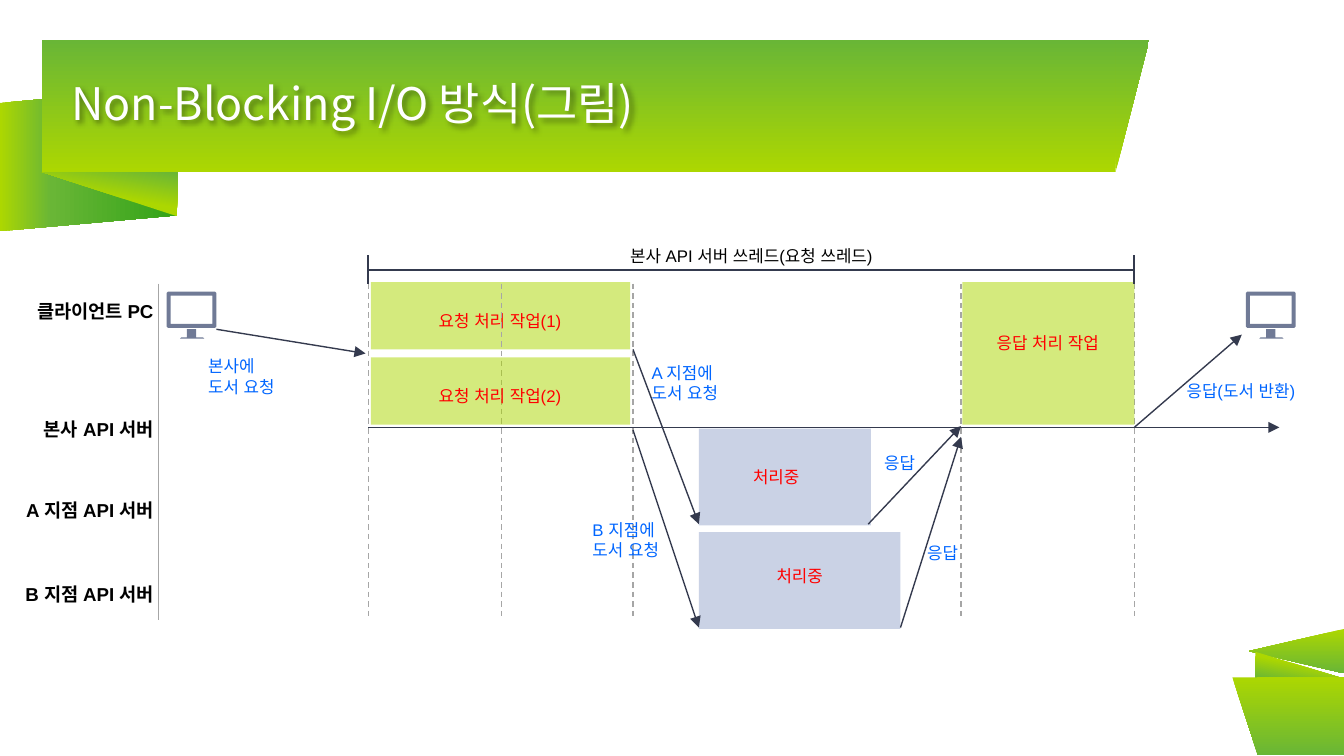
from dataclasses import dataclass
from typing import Optional

from lxml import etree
from pptx import Presentation, util as u
from pptx.dml.color import RGBColor
from pptx.enum import dml, shapes, text
from pptx.oxml.ns import qn


@dataclass(frozen=True)
class Theme:
    lime: str = "ACD701"
    green: str = "69B636"
    deep_green: str = "32A318"
    slate: str = "6077B3"
    icon: str = "707A96"
    ink: str = "343A4E"
    guide: str = "A6A6A6"
    black: str = "000000"
    white: str = "FFFFFF"
    red: str = "FF0000"
    blue: str = "0066FF"
    body_font: str = "Arial"
    title_font: str = "Noto Sans CJK KR"
    title_size: float = 24
    lane_size: float = 10
    note_size: float = 9


@dataclass(frozen=True)
class Ribbon:
    kind: shapes.MSO_SHAPE
    box: tuple[float, float, float, float]
    stops: tuple[tuple[int, str], ...]
    angle: int
    rotation: int = 0
    flip: bool = False
    adj: Optional[float] = None


@dataclass(frozen=True)
class Label:
    words: str
    box: tuple[float, float, float, float]
    color: str
    size: float = Theme.note_size
    align: text.PP_ALIGN = text.PP_ALIGN.LEFT
    bold: bool = False
    wrap: bool = False


@dataclass(frozen=True)
class Task:
    box: tuple[float, float, float, float]
    color: str
    alpha: int
    label: Label


T = Theme()
S = shapes.MSO_SHAPE
A = text.PP_ALIGN

# A 16:9 page, 10 inches wide
prs = Presentation()
prs.slide_width = u.Inches(10)
prs.slide_height = prs.slide_width * 9 // 16
slide = prs.slides.add_slide(prs.slide_layouts[5])


def inches(values) -> list[int]:
    return [u.Inches(v) for v in values]


def add_ribbon(ribbon: Ribbon) -> None:
    part = slide.shapes.add_shape(ribbon.kind, *inches(ribbon.box))
    part.shadow.inherit = False
    part.line.fill.background()
    part.rotation = ribbon.rotation
    if ribbon.adj is not None:
        part.adjustments[0] = ribbon.adj
    props = part.element.spPr
    if ribbon.flip:
        props.find(qn("a:xfrm")).set("flipH", "1")
    gradient = etree.Element(qn("a:gradFill"), rotWithShape="1")
    stop_list = etree.SubElement(gradient, qn("a:gsLst"))
    for position, color in ribbon.stops:
        stop = etree.SubElement(stop_list, qn("a:gs"), pos=str(position * 1000))
        etree.SubElement(stop, qn("a:srgbClr"), val=color)
    etree.SubElement(gradient, qn("a:lin"), ang=str(ribbon.angle * 60000), scaled="0")
    props.find(qn("a:prstGeom")).addnext(gradient)


def add_run(paragraph, words: str, font: str, size: float, color: str,
            bold: bool = False) -> None:
    run = paragraph.add_run()
    run.text = words
    run.font.size, run.font.bold, run.font.name = u.Pt(size), bold, font
    run.font.color.rgb = RGBColor.from_string(color)
    latin = run._r.rPr.find(qn("a:latin"))
    latin.addnext(etree.Element(qn("a:ea"), typeface=font))


def add_label(label: Label) -> None:
    frame = slide.shapes.add_textbox(*inches(label.box)).text_frame
    frame.word_wrap = label.wrap
    frame.auto_size = text.MSO_AUTO_SIZE.SHAPE_TO_FIT_TEXT
    for index, words in enumerate(label.words.split("\n")):
        paragraph = frame.add_paragraph() if index else frame.paragraphs[0]
        paragraph.alignment = label.align
        add_run(paragraph, words, T.body_font, label.size, label.color, label.bold)


def add_task(task: Task) -> None:
    block = slide.shapes.add_shape(S.RECTANGLE, *inches(task.box))
    block.shadow.inherit = False
    block.line.fill.background()
    block.fill.solid()
    block.fill.fore_color.rgb = RGBColor.from_string(task.color)
    color = block.element.spPr.find(qn("a:solidFill"))[0]
    etree.SubElement(color, qn("a:alpha"), val=str(task.alpha * 1000))
    add_label(task.label)


def add_line(start: tuple, end: tuple, color: str, width: float = 0.75,
             dashed: bool = False, arrow: bool = False) -> None:
    line = slide.shapes.add_connector(shapes.MSO_CONNECTOR.STRAIGHT, *inches(start + end))
    line.line.color.rgb = RGBColor.from_string(color)
    line.line.width = u.Pt(width)
    if dashed:
        line.line.dash_style = dml.MSO_LINE.DASH
    props = line.element.spPr
    if arrow:
        etree.SubElement(props.find(qn("a:ln")), qn("a:tailEnd"), type="triangle")
    etree.SubElement(props, qn("a:effectLst"))


def add_outline(left: float, top: float, contours: list) -> None:
    builder = None
    for contour in contours:
        points = [(u.Inches(left + x), u.Inches(top + y)) for x, y in contour]
        if builder is None:
            builder = slide.shapes.build_freeform(*points[0])
        else:
            builder.move_to(*points[0])
        builder.add_line_segments(points[1:], close=True)
    outline = builder.convert_to_shape()
    outline.shadow.inherit = False
    outline.line.fill.background()
    outline.fill.solid()
    outline.fill.fore_color.rgb = RGBColor.from_string(T.icon)


def add_monitor(left: float, top: float) -> None:
    stand = [(0.15, 0.28), (0.15, 0.34), (0.11, 0.34), (0.1, 0.35),
             (0.28, 0.35), (0.27, 0.34), (0.22, 0.34), (0.22, 0.28)]
    screen = [(0.34, 0.03), (0.34, 0.24), (0.03, 0.24), (0.03, 0.03)]
    bezel = [(0.01, 0), (0, 0.01), (0, 0.26), (0.01, 0.27),
             (0.36, 0.27), (0.37, 0.26), (0.37, 0.01), (0.36, 0)]
    add_outline(left, top, [stand])
    add_outline(left, top, [screen, bezel])


# Ribbon banner and corner fold
fade = ((0, T.lime), (100, T.green))
fold = ((0, T.lime), (47, T.lime), (100, T.green))
tail = ((0, T.lime), (29, T.green), (100, T.deep_green))
for ribbon in (
    Ribbon(S.PARALLELOGRAM, (0.12, 0.53, 1.07, 1.31), tail, 90, 270, True, 0.109),
    Ribbon(S.RIGHT_TRIANGLE, (0.31, 1.28, 1.01, 0.33), fold, 100, 180),
    Ribbon(S.RECTANGLE, (0.31, 0.3, 7.99, 0.98), fade, 90, 180, True),
    Ribbon(S.ISOSCELES_TRIANGLE, (8.3, 0.3, 0.25, 0.98), fade, 90, 180, adj=1),
    Ribbon(S.ISOSCELES_TRIANGLE, (9.48, 4.49, 0.33, 0.71), fade, 180, 270, adj=0.5),
    Ribbon(S.RIGHT_TRIANGLE, (9.34, 4.85, 0.66, 0.2), fold, 100),
    Ribbon(S.RECTANGLE, (9.35, 5.04, 0.65, 0.58), fade, 270, 180),
    Ribbon(S.ISOSCELES_TRIANGLE, (9.17, 5.04, 0.19, 0.58), fade, 270, 180, True, 1),
):
    add_ribbon(ribbon)

# Title, raised above the banner, with a soft shadow
title = slide.shapes.title
slide.shapes.element.append(title.element)
title.left, title.top, title.width, title.height = inches((0.53, 0.3, 7.92, 0.98))
heading = title.text_frame
heading.margin_left = heading.margin_right = heading.margin_top = heading.margin_bottom = 0
heading.vertical_anchor = text.MSO_ANCHOR.MIDDLE
heading.auto_size = text.MSO_AUTO_SIZE.NONE
heading.word_wrap = True
heading.paragraphs[0].alignment = A.LEFT
heading.paragraphs[0].line_spacing = 0.9
add_run(heading.paragraphs[0], "Non-Blocking I/O 방식(그림)",
        T.title_font, T.title_size, T.white)
effects = etree.SubElement(title.element.spPr, qn("a:effectLst"))
shadow = etree.SubElement(effects, qn("a:outerShdw"), blurRad="38100", dist="19050", dir="2700000")
shade = etree.SubElement(shadow, qn("a:srgbClr"), val=T.black)
etree.SubElement(shade, qn("a:alpha"), val="40000")

# Lanes and the two client screens
top, bottom, axis = 2.11, 4.61, 3.18
begin, half, sent, answered, finish = 2.74, 3.73, 4.71, 7.15, 8.44
add_line((1.18, top), (1.18, bottom), T.guide)
for words, y, width in (("클라이언트 PC", 2.18, 1.14), ("본사 API 서버", 3.06, 1.06),
                        ("A 지점 API 서버", 3.66, 1.21), ("B 지점 API 서버", 4.29, 1.21)):
    add_label(Label(words, (1.24 - width, y, width, 0.27), T.black, T.lane_size, A.RIGHT, True))
for x in (1.24, 9.27):
    add_monitor(x, 2.17)


# Work blocks, with the time guides between the two requests
def red_label(words: str, *box: float) -> Label:
    return Label(words, box, T.red, align=A.CENTER, wrap=True)


request_1, request_2 = (
    Task((2.76, y, 1.93, 0.5), T.lime, 51,
         red_label(f"요청 처리 작업({number})", begin, y + 0.16, 1.96, 0.25))
    for number, y in ((1, 2.1), (2, 2.66)))
add_task(request_1)
for x in (begin, half, sent, answered, finish):
    add_line((x, top), (x, bottom), T.guide, dashed=True)
for task in (
    request_2,
    Task((5.2, 3.19, 1.28, 0.72), T.slate, 33, red_label("처리중", 5.1, 3.42, 1.35, 0.25)),
    Task((5.2, 3.96, 1.5, 0.72), T.slate, 33, red_label("처리중", 5.21, 4.16, 1.48, 0.25)),
    Task((7.16, 2.1, 1.28, 1.06), T.lime, 51, red_label("응답 처리 작업", 7.15, 2.43, 1.29, 0.4)),
):
    add_task(task)

# Thread span
for x in (begin, finish):
    add_line((x, 1.9), (x, top), T.ink, 1)
add_line((begin, 2.01), (finish, 2.01), T.ink, 1)
add_label(Label("본사 API 서버 쓰레드(요청 쓰레드)", (begin, 1.78, finish - begin, 0.25),
                T.black, align=A.CENTER, wrap=True))

# Time axis, requests and responses
for start, end in (
    ((begin, axis), (9.52, axis)),
    ((1.61, 2.45), (2.72, 2.63)),
    ((sent, 2.6), (5.2, 3.9)),
    ((sent, 3.2), (5.2, 4.67)),
    ((6.46, 3.9), (answered, 3.17)),
    ((6.7, 4.67), (answered, 3.25)),
    ((finish, axis), (9.24, 2.49)),
):
    add_line(start, end, T.ink, arrow=True)
for words, *box in (
    ("본사에\n도서 요청", 1.45, 2.6, 0.74, 0.4),
    ("A 지점에\n도서 요청", 4.75, 2.65, 0.74, 0.4),
    ("B 지점에\n도서 요청", 4.31, 3.82, 0.74, 0.4),
    ("응답", 6.48, 3.32, 0.45, 0.25),
    ("응답", 6.8, 3.99, 0.45, 0.25),
    ("응답(도서 반환)", 8.73, 2.78, 1.08, 0.25),
):
    add_label(Label(words, tuple(box), T.blue))

prs.save("out.pptx")
